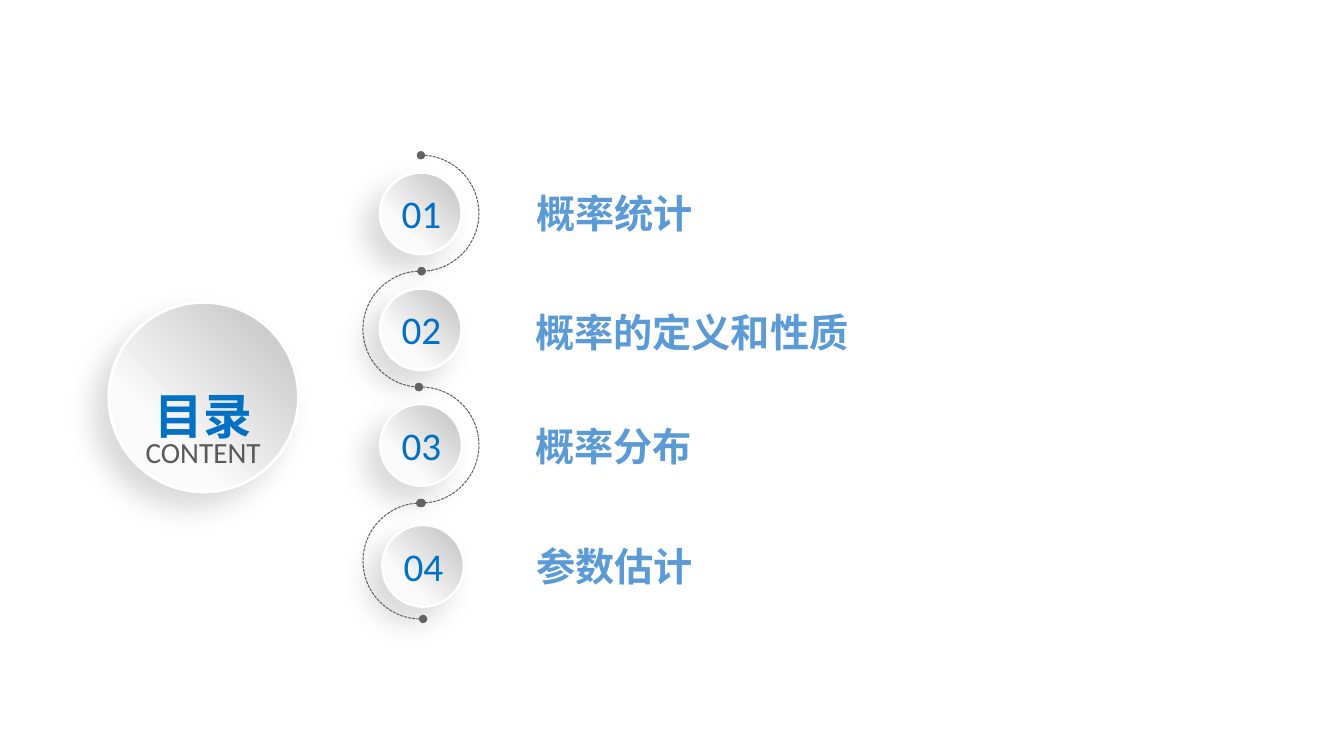
from lxml import etree
from pptx import Presentation
from pptx.dml.color import RGBColor
from pptx.enum.dml import MSO_LINE
from pptx.enum.shapes import MSO_SHAPE as SHAPE
from pptx.enum.text import MSO_ANCHOR as ANCHOR, MSO_AUTO_SIZE as FIT, PP_ALIGN as ALIGN
from pptx.oxml.ns import qn
from pptx.util import Inches, Pt

COLORS = {"blue": "0071C4", "heading": "5B9BD5", "gray": "595959", "line": "626262",
          "white": "FFFFFF", "dark": "BFBFBF", "light": "FAFAFA", "shadow": "000000"}
LATIN, CJK = "Calibri", "Noto Sans CJK SC"

# label, left and top of the disc, rim width, left and top of the heading
STEPS = [("概率统计", 3.77, 1.71, 2, 5.22, 1.83, 2.95),
         ("概率的定义和性质", 3.77, 2.86, 2, 5.21, 3.01, 5.34),
         ("概率分布", 3.77, 4.01, 1.5, 5.21, 4.14, 3.88),
         ("参数估计", 3.79, 5.21, 1.5, 5.22, 5.33, 3.16)]
# start and end adjustments, mirrored, rotation
ARCS = [(162, 53.57, False, 0), (161.69, 52.82, True, 0),
        (160.73, 53.57, False, 0), (160.73, 53.57, False, 180)]


def rgb(name):
    return RGBColor.from_string(COLORS[name])


def add_node(parent, tag, **attrs):
    return etree.SubElement(parent, qn(tag), {k: str(v) for k, v in attrs.items()})


def place(sp, x, y, w, h):
    sp.left, sp.top, sp.width, sp.height = (Inches(v) for v in (x, y, w, h))


def write(sp, text, size, color, font=LATIN, bold=False, align=ALIGN.CENTER,
          anchor=ANCHOR.MIDDLE, wrap=False, spacing=1, baseline=0):
    tf = sp.text_frame
    tf.text = text
    tf.word_wrap, tf.vertical_anchor, tf.auto_size = wrap, anchor, FIT.SHAPE_TO_FIT_TEXT
    p = tf.paragraphs[0]
    p.alignment, p.line_spacing = align, spacing
    r = p.runs[0]
    r.font.size, r.font.bold, r.font.name = Pt(size), bold, font
    r.font.color.rgb = rgb(color)
    add_node(r.font._element, "a:ea", typeface=CJK)
    if baseline:
        r.font._element.set("baseline", str(baseline * 1000))


def add_text(slide, box, text, size, color, **style):
    sp = slide.shapes.add_textbox(*(Inches(v) for v in box))
    write(sp, text, size, color, **style)


def add_disc(slide, x, y, size, rim):
    """Add a raised disc with a soft shadow at its lower left."""
    sp = slide.shapes.add_shape(SHAPE.OVAL, *(Inches(v) for v in (x, y, size, size)))
    sp.line.color.rgb, sp.line.width = rgb("white"), Pt(rim)
    sp.fill.gradient()
    sp.fill.gradient_angle = 225
    stops = sp._element.spPr.find(".//" + qn("a:gsLst"))
    for stop in list(stops):
        stops.remove(stop)
    for pos, color in ((0, "white"), (0, "dark"), (70, "light")):
        add_node(add_node(stops, "a:gs", pos=pos * 1000), "a:srgbClr", val=COLORS[color])
    sp.shadow.inherit = False
    effects = sp._element.spPr.find(qn("a:effectLst"))
    shadow = add_node(effects, "a:outerShdw", blurRad=Pt(20), dist=Pt(15),
                      dir=135 * 60000, algn="tr", rotWithShape=0)
    color = add_node(shadow, "a:srgbClr", val=COLORS["shadow"])
    add_node(color, "a:alpha", val=15000)


def add_cover(slide, x, y):
    add_disc(slide, x, y, 1.88, 2)
    title = slide.shapes.title
    slide.shapes._spTree.append(title._element)  # bring in front of the disc
    place(title, x + 0.28, y + 0.33, 1.32, 0.99)
    write(title, "目录", 60, "blue", bold=True, spacing=1.5, baseline=12)
    add_text(slide, (x + 0.02, y + 0.99, 1.83, 0.63), "CONTENT", 36, "gray",
             spacing=1.5, baseline=12)


def add_step(slide, number, label, x, y, rim, label_x, label_y, label_w):
    add_disc(slide, x, y, 0.81, rim)
    add_text(slide, (x + 0.09, y + 0.12, 0.64, 0.57), f"{number:02}", 28, "blue")
    add_text(slide, (label_x, label_y, label_w, 0.57), label, 28, "heading", font=CJK,
             bold=True, align=ALIGN.LEFT, anchor=ANCHOR.TOP, wrap=True)


def add_trail(slide, x, y, size):
    """Add the dashed arcs that wind down around the discs."""
    for i, (start, end, mirrored, rotation) in enumerate(ARCS):
        sp = slide.shapes.add_shape(SHAPE.ARC, Inches(x), Inches(y + i * size),
                                    Inches(size), Inches(size))
        sp.adjustments[0], sp.adjustments[1] = start, end
        sp.rotation = rotation
        if mirrored:
            sp._element.spPr.find(qn("a:xfrm")).set("flipH", "1")
        sp.fill.background()
        sp.shadow.inherit = False
        sp.line.color.rgb, sp.line.width = rgb("line"), Pt(0.75)
        sp.line.dash_style = MSO_LINE.SQUARE_DOT
        ln = sp._element.spPr.find(qn("a:ln"))
        for tag in ("a:headEnd", "a:tailEnd"):
            add_node(ln, tag, type="oval")


def main():
    prs = Presentation()
    prs.slide_width, prs.slide_height = Inches(13.33), Inches(7.5)
    slide = prs.slides.add_slide(prs.slide_layouts[5])
    add_cover(slide, 1.08, 3)
    for number, step in enumerate(STEPS, 1):
        add_step(slide, number, *step)
    add_trail(slide, 3.6, 1.54, 1.15)
    prs.save("out.pptx")


if __name__ == "__main__":
    main()
